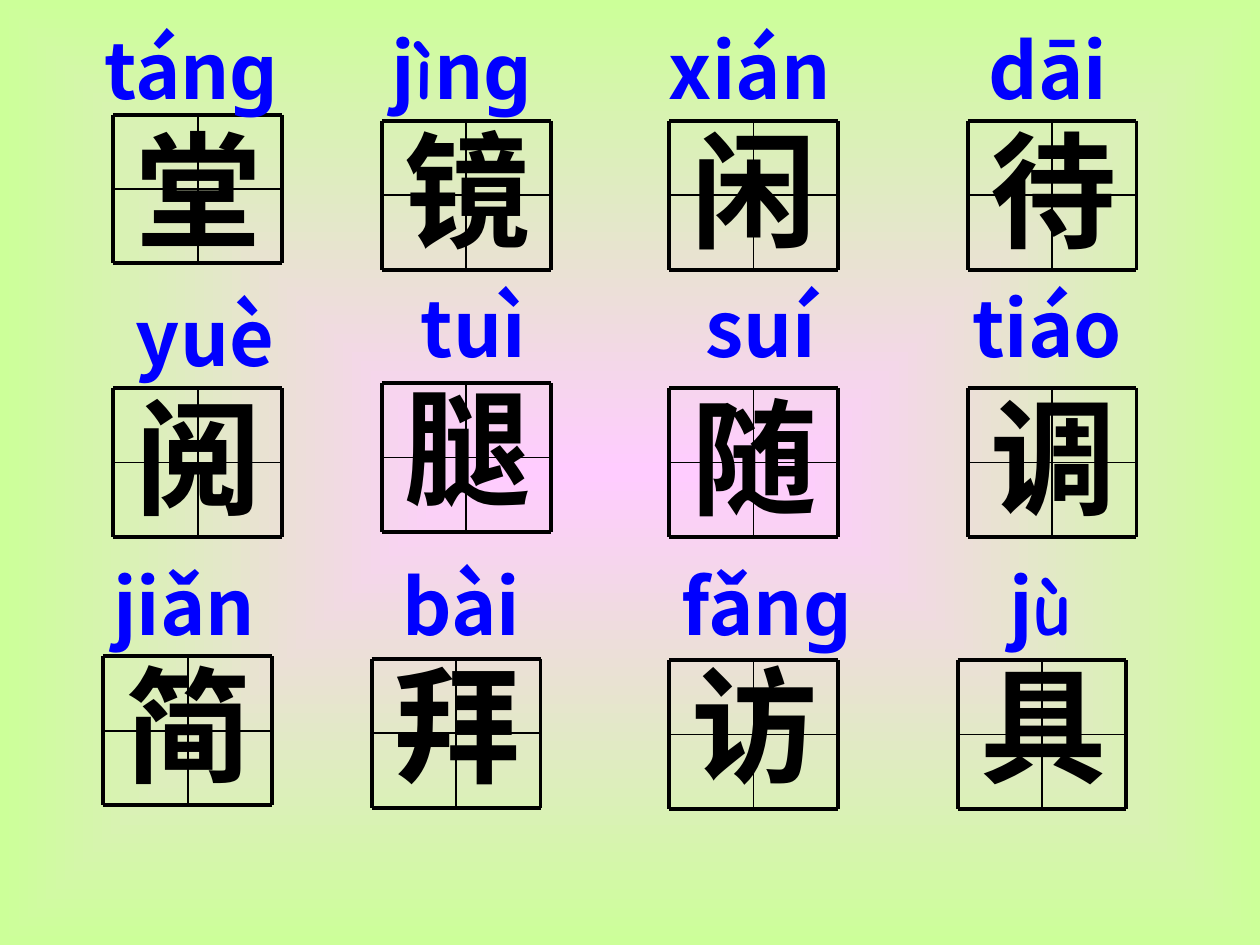
from collections import namedtuple

from lxml import etree
from pptx import Presentation
from pptx.dml.color import RGBColor
from pptx.enum.shapes import MSO_CONNECTOR
from pptx.enum.text import MSO_AUTO_SIZE
from pptx.oxml.ns import qn
from pptx.util import Inches, Pt

LINE = MSO_CONNECTOR.STRAIGHT
FIT = MSO_AUTO_SIZE.SHAPE_TO_FIT_TEXT
HAND, SANS = "Comic Neue", "Noto Sans CJK SC"
BLACK, BLUE, PINK, GREEN = "000000", "0000FF", "FFCCFF", "CCFF99"

COLS = [0.9, 3.03, 5.31, 7.68]
ROWS = [0.96, 3.08, 5.24]
GLYPH_TOPS = [0.84, 2.96, 5.09]
PINYIN_TOPS = [0.13, 2.18, 4.38]
CELL_W, CELL_H = 1.34, 1.18
GLYPH_W, GLYPH_H, PINYIN_H = 1.18, 1.3, 0.84

Word = namedtuple("Word", "glyph pinyin left width dx dy glyph_dy pinyin_dy",
                  defaults=(0, 0, 0, 0))
WORDS = [
    [Word("堂", "tán|ɡ", 0.73, 1.72, dy=-0.05),
     Word("镜", "j|ì|n|ɡ", 3.01, 1.42),
     Word("闲", "xián", 5.21, 1.58),
     Word("待", "dāi", 7.75, 1.24)],
    [Word("阅", "yuè", 0.98, 1.39, pinyin_dy=0.07),
     Word("腿", "tuì", 3.24, 1.13, dy=-0.04, glyph_dy=-0.08),
     Word("随", "suí", 5.5, 1.18),
     Word("调", "tiáo", 7.62, 1.49)],
    [Word("简", "jiǎn", 0.8, 1.42, dx=-0.08, dy=-0.03),
     Word("拜", "bài", 3.1, 1.24, dx=-0.08, dy=-0.01),
     Word("访", "fǎn|ɡ", 5.31, 1.65),
     Word("具", "j|ù", 7.91, 0.82, dx=-0.08)],
]


def rgb(value):
    """Turn a hex string into a colour."""
    return RGBColor.from_string(value)


def add_text(shapes, runs, x, y, w, h, size, color):
    """Add a bold text box from (text, font) pairs."""
    tb = shapes.add_textbox(Inches(x), Inches(y), Inches(w), Inches(h))
    tf = tb.text_frame
    tf.word_wrap = True
    tf.auto_size = FIT
    for text, font in runs:
        r = tf.paragraphs[0].add_run()
        r.text = text
        r.font.size = Pt(size)
        r.font.bold = True
        r.font.color.rgb = rgb(color)
        r.font.name = font
        ea = etree.SubElement(r.font._element, qn("a:ea"))
        ea.set("typeface", font)


def add_line(shapes, x1, y1, x2, y2, width):
    """Add a black straight line without shadow."""
    c = shapes.add_connector(LINE, Inches(x1), Inches(y1), Inches(x2), Inches(y2))
    c.line.color.rgb = rgb(BLACK)
    c.line.width = Pt(width)
    etree.SubElement(c._element.spPr, qn("a:effectLst"))


def add_cell(s, glyph, x, y, glyph_y):
    """Group a crossed writing square with its character."""
    shapes = s.shapes.add_group_shape().shapes
    for share, width in ((0, 2.25), (0.5, 1), (1, 2.25)):
        row, col = y + share * CELL_H, x + share * CELL_W
        add_line(shapes, x, row, x + CELL_W, row, width)
        add_line(shapes, col, y, col, y + CELL_H, width)
    add_text(shapes, [(glyph, HAND)], x + 0.08, glyph_y, GLYPH_W, GLYPH_H, 72, BLACK)


def add_pinyin(s, word, y):
    """Add the reading, whose parts split by a bar alternate between fonts."""
    runs = [(t, HAND if i % 2 else SANS) for i, t in enumerate(word.pinyin.split("|"))]
    add_text(s.shapes, runs, word.left, y, word.width, PINYIN_H, 44, BLUE)


def set_background(s):
    """Fill the background with a rectangular gradient from the centre."""
    fill = s.background.fill
    fill.gradient()
    for stop, color in zip(fill.gradient_stops, (PINK, GREEN)):
        stop.color.rgb = rgb(color)
    grad = s._element.find(".//" + qn("a:gradFill"))
    grad.remove(grad.find(qn("a:lin")))
    shade = etree.SubElement(grad, qn("a:path"))
    shade.set("path", "rect")
    rect = etree.SubElement(shade, qn("a:fillToRect"))
    for side in "ltrb":
        rect.set(side, "50000")


def main():
    """Build the slide of new characters."""
    prs = Presentation()
    prs.slide_width, prs.slide_height = Inches(10), Inches(7.5)
    s = prs.slides.add_slide(prs.slide_layouts[6])
    set_background(s)
    for words, y, glyph_y, pinyin_y in zip(WORDS, ROWS, GLYPH_TOPS, PINYIN_TOPS):
        for word, x in zip(words, COLS):
            add_cell(s, word.glyph, x + word.dx, y + word.dy, glyph_y + word.glyph_dy)
            add_pinyin(s, word, pinyin_y + word.pinyin_dy)
    prs.save("out.pptx")


if __name__ == "__main__":
    main()
